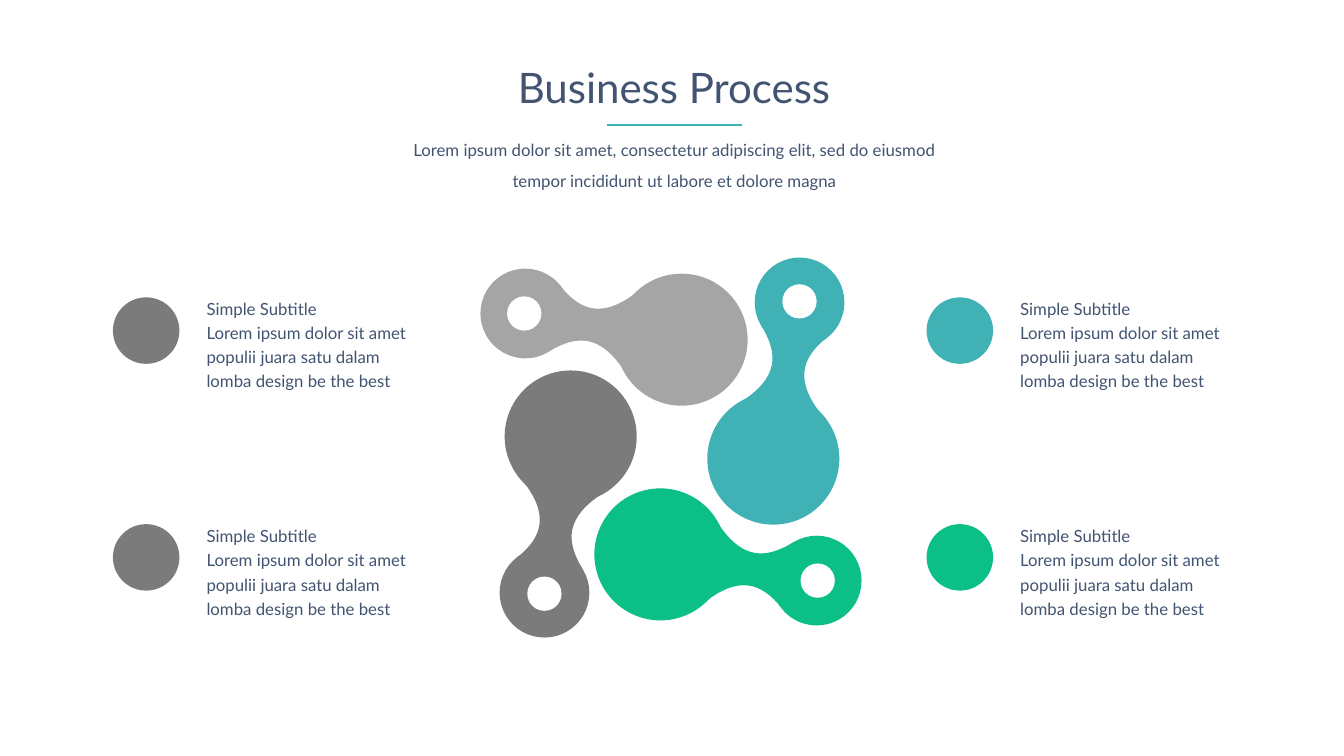
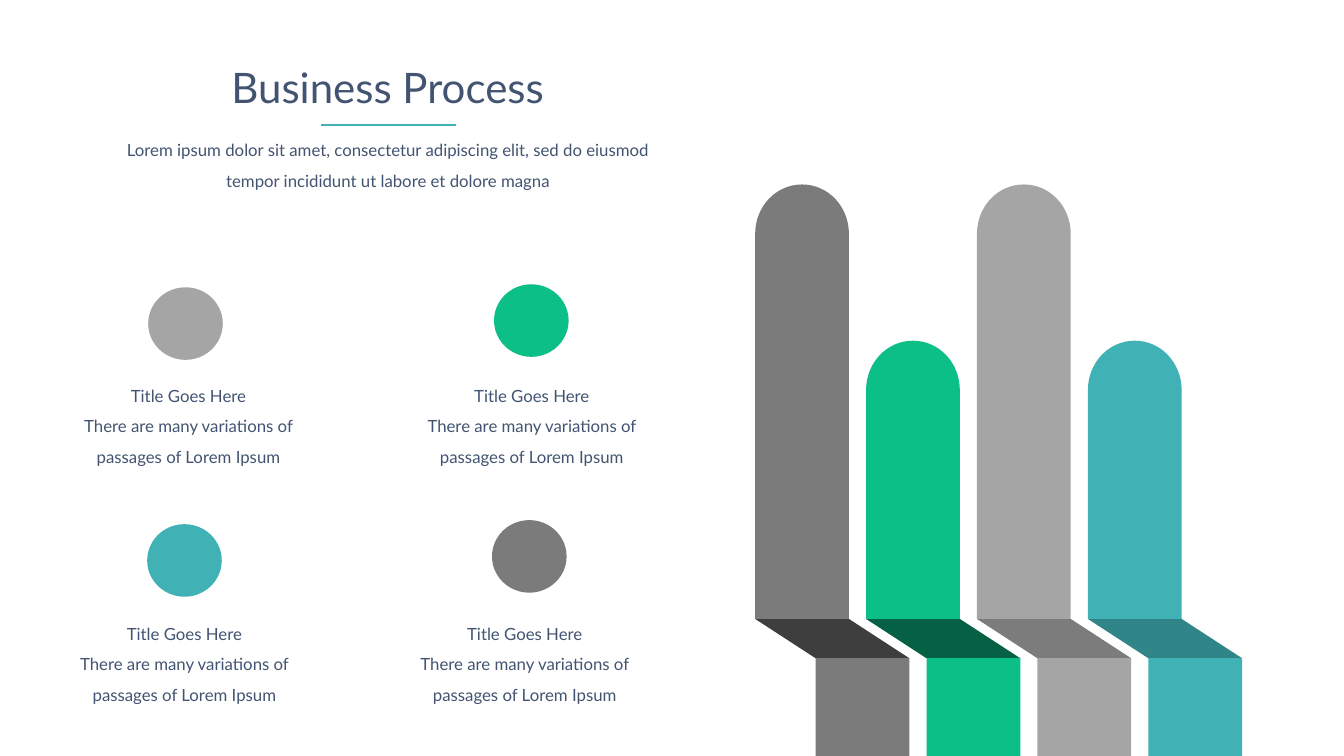
import math

import pptx
import pptx.dml.color
import pptx.enum.shapes
import pptx.enum.text
import pptx.oxml.ns
import pptx.util
from lxml import etree

Inches = pptx.util.Inches
SHAPE = pptx.enum.shapes.MSO_SHAPE
ALIGN = pptx.enum.text.PP_ALIGN
FIT = pptx.enum.text.MSO_AUTO_SIZE
qn = pptx.oxml.ns.qn

FONT = "Lato"
INK, WHITE = "425471", "FFFFFF"
TEAL, GREEN, DARK, LIGHT = "40B1B5", "0CBF86", "7B7B7B", "A5A5A5"

TITLE = "Business Process"
INTRO = ("Lorem ipsum dolor sit amet, consectetur adipiscing elit, "
         "sed do eiusmod tempor incididunt ut labore et dolore magna")
POINT = ["Simple Subtitle",
         "Lorem ipsum dolor sit amet populii juara satu dalam lomba design be the best"]
STEP = ["Title Goes Here", "There are many variations of passages of Lorem Ipsum"]

# Offsets from the centre of a blob's large disc, for an upright blob.
KNOB, HOLE = (0.26, -1.55), (0.26, -1.56)
NECK = [[(-0.34, -0.55)],
        [(0.06, -0.8), (0.05, -1.04), (-0.12, -1.32)],
        [(0.53, -1.2)],
        [(0.28, -1), (0.2, -0.77), (0.5, -0.41)]]
TILT = 54


def color(code):
    return pptx.dml.color.RGBColor.from_string(code)


def write(shape, lines, size=12, space=1.2, align=ALIGN.LEFT, inset=None,
          fit=FIT.SHAPE_TO_FIT_TEXT):
    """Fill a shape with one paragraph per line, in the deck's font."""
    frame = shape.text_frame
    frame.word_wrap = True
    frame.auto_size = fit
    frame.vertical_anchor = pptx.enum.text.MSO_ANCHOR.TOP
    if inset is not None:
        frame.margin_left = frame.margin_right = Inches(inset)
        frame.margin_top = frame.margin_bottom = Inches(inset)
    frame.text = "\n".join(lines)
    for para in frame.paragraphs:
        para.alignment = align
        para.line_spacing = space
        para.font.name = FONT
        para.font.size = pptx.util.Pt(size)
        para.font.color.rgb = color(INK)


def label(slide, lines, left, top, width, height, **style):
    box = slide.shapes.add_textbox(*map(Inches, (left, top, width, height)))
    write(box, lines, **style)


def paint(shape, code):
    shape.shadow.inherit = False
    shape.fill.solid()
    shape.fill.fore_color.rgb = color(code)
    shape.line.fill.background()


def block(shapes, kind, left, top, width, height, code):
    paint(shapes.add_shape(kind, *map(Inches, (left, top, width, height))), code)


def disc(shapes, mid, size, code):
    """Draw a circle around its centre."""
    x, y = mid
    block(shapes, SHAPE.OVAL, x - size / 2, y - size / 2, size, size, code)


def spin(spot, hub, angle):
    """Turn a point clockwise around a hub, in degrees."""
    turn = math.radians(angle)
    x, y = spot[0] - hub[0], spot[1] - hub[1]
    return (hub[0] + x * math.cos(turn) - y * math.sin(turn),
            hub[1] + x * math.sin(turn) + y * math.cos(turn))


def outline(shapes, legs, code, tilt=0):
    """Draw a closed outline whose box is tilted.

    The first leg holds the start; later ones hold a corner, or the
    three points of a cubic curve.
    """
    spots = [(Inches(x), Inches(y)) for leg in legs for x, y in leg]
    hub = spots[0]
    spots = [spin(spot, hub, -tilt) for spot in spots]
    draft = shapes.build_freeform(*spots[0], scale=1.0)
    draft.add_line_segments(spots[1:], close=True)
    shape = draft.convert_to_shape()
    lines = iter(list(shape._element.iter(qn("a:lnTo"))))
    for leg in legs[1:]:
        steps = [next(lines) for _ in leg]
        if len(steps) == 3:
            curve = etree.Element(qn("a:cubicBezTo"))
            steps[0].addprevious(curve)
            for step in steps:
                curve.append(step[0])
                step.getparent().remove(step)
    x, y = spin((shape.left + shape.width / 2, shape.top + shape.height / 2),
                hub, tilt)
    shape.left = round(x - shape.width / 2)
    shape.top = round(y - shape.height / 2)
    shape.rotation = tilt
    paint(shape, code)


def head(slide, mid):
    """Place title, rule and intro around a vertical axis."""
    title = slide.shapes.title
    title.left, title.top = Inches(mid - 2.02), Inches(0.67)
    title.width, title.height = Inches(4.03), Inches(0.62)
    write(title, [TITLE], size=30, space=0.9, align=ALIGN.CENTER, inset=0,
          fit=FIT.NONE)
    rule = slide.shapes.add_connector(
        pptx.enum.shapes.MSO_CONNECTOR.STRAIGHT,
        *map(Inches, (mid - 0.67, 1.24, mid + 0.67, 1.24)))
    rule.line.color.rgb = color(TEAL)
    rule.line.width = pptx.util.Pt(2)
    etree.SubElement(rule._element.spPr, qn("a:effectLst"))
    label(slide, [INTRO], mid - 2.85, 1.29, 5.7, 0.61, space=1.5,
          align=ALIGN.CENTER, inset=0)


def blob(shapes, mid, turns, code):
    """Draw two joined discs, turned clockwise by quarter turns."""
    def place(spot):
        return spin((mid[0] + spot[0], mid[1] + spot[1]), mid, 90 * turns)

    disc(shapes, mid, 1.31, code)
    disc(shapes, place(KNOB), 0.89, code)
    outline(shapes, [[place(spot) for spot in leg] for leg in NECK], code, TILT)
    disc(shapes, place(HOLE), 0.34, WHITE)


def bar(slide, left, top, code, shade):
    """Draw a round-topped bar that folds and runs off the slide's foot."""
    width, fold, foot, shift = 0.93, 6.14, 6.53, 0.6
    right, mid, base = left + width, left + width / 2, top + 0.49
    outline(slide.shapes,
            [[(left, fold)], [(right, fold)], [(right + shift, foot)],
             [(left + shift, foot)]], shade)
    group = slide.shapes.add_group_shape().shapes
    block(group, SHAPE.RECTANGLE, left, base, width, fold - base, code)
    outline(group,
            [[(left, base)],
             [(left, top + 0.22), (mid - 0.26, top), (mid, top)],
             [(mid + 0.26, top), (right, top + 0.22), (right, base)]], code)
    block(slide.shapes, SHAPE.RECTANGLE, left + shift, foot, width, 7.5 - foot, code)


def wheel(slide):
    group = slide.shapes.add_group_shape().shapes
    blobs = [((7.67, 4.55), TEAL), ((6.55, 5.5), GREEN),
             ((5.66, 4.33), DARK), ((6.76, 3.37), LIGHT)]
    for turns, (mid, code) in enumerate(blobs):
        blob(group, mid, turns, code)
    for left, codes in ((9.19, (TEAL, GREEN)), (1.12, (DARK, DARK))):
        for top, lift, code in zip((2.95, 5.2), (0.08, 0.07), codes):
            label(slide, POINT, left + 0.83, top - lift, 2.39, 1.07)
            block(slide.shapes, SHAPE.OVAL, left, top, 0.66, 0.66, code)
    head(slide, 6.69)


def bars(slide):
    looks = [(1.83, DARK, "3E3E3E"), (3.38, GREEN, "066043"),
             (1.83, LIGHT, "7C7C7C"), (3.38, TEAL, "308588")]
    for i, look in enumerate(looks):
        bar(slide, 7.49 + 1.1 * i, *look)
    steps = [(1.46, 5.2, TEAL, 0.36, 6.04, 2.94),
             (4.9, 2.82, GREEN, 3.85, 3.68, 2.85),
             (1.47, 2.85, LIGHT, 0.4, 3.68, 2.94),
             (4.88, 5.16, DARK, 3.78, 6.04, 2.85)]
    for x, y, code, left, top, width in steps:
        block(slide.shapes, SHAPE.OVAL, x, y, 0.74, 0.72, code)
        label(slide, STEP, left, top, width, 0.97, space=1.5, align=ALIGN.CENTER)
    head(slide, 3.85)


def main():
    deck = pptx.Presentation()
    deck.slide_width, deck.slide_height = Inches(13.33), Inches(7.5)
    for build in (wheel, bars):
        build(deck.slides.add_slide(deck.slide_layouts[5]))
    deck.save("out.pptx")


if __name__ == "__main__":
    main()
